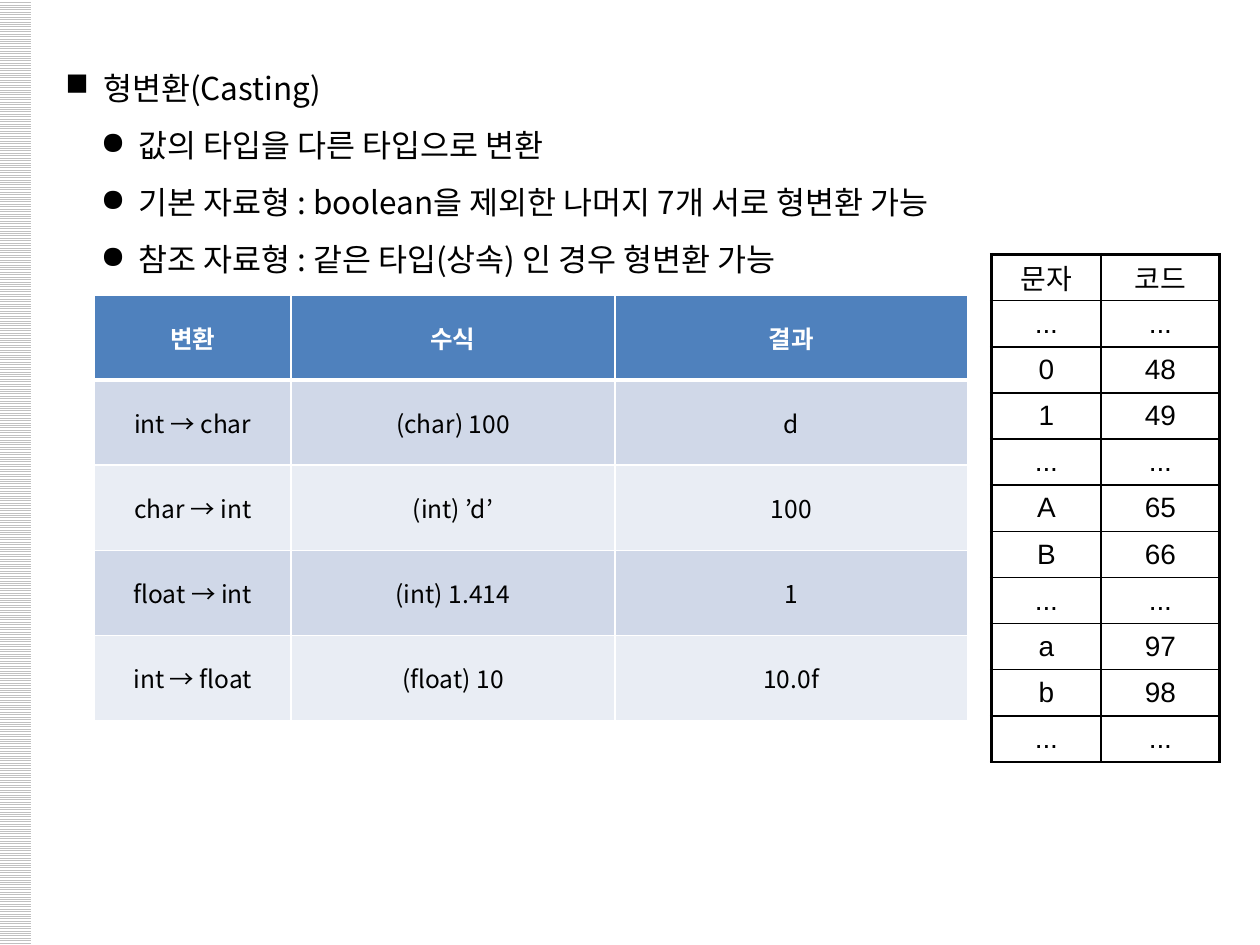
"""Build the slide on type casting with its conversion and character code tables."""
import pptx
import pptx.dml.color
import pptx.enum.dml
import pptx.enum.text
import pptx.oxml.ns
import pptx.util
from lxml import etree

Inches = pptx.util.Inches
Pt = pptx.util.Pt
CENTER = pptx.enum.text.PP_ALIGN.CENTER

THEME = {
    "hangul": "Noto Sans CJK KR", "latin": "Arial",
    "black": "000000", "white": "FFFFFF", "stripe": "C0C0C0",
    "header": "4F81BD", "bands": ("D0D8E8", "E9EDF4"),
    "outline_size": 18, "conversion_size": 14, "code_size": 16,
    "outline_pitch": 32.5, "thin": 1, "thick": 2.25, "header_rule": 3,
}

OUTLINE = [
    (0, "■", "형변환(Casting)"),
    (1, "●", "값의 타입을 다른 타입으로 변환"),
    (1, "●", "기본 자료형 : boolean을 제외한 나머지 7개 서로 형변환 가능"),
    (1, "●", "참조 자료형 : 같은 타입(상속) 인 경우 형변환 가능"),
]
CONVERSIONS = [
    ("변환", "수식", "결과"),
    ("int → char", "(char) 100", "d"),
    ("char → int", "(int) ’d’", "100"),
    ("float → int", "(int) 1.414", "1"),
    ("int → float", "(float) 10", "10.0f"),
]
CODES = [
    ("문자", "코드"), ("...", "..."), ("0", "48"), ("1", "49"), ("...", "..."),
    ("A", "65"), ("B", "66"), ("...", "..."), ("a", "97"), ("b", "98"), ("...", "..."),
]


def rgb(color):
    return pptx.dml.color.RGBColor.from_string(color)


def add_child(parent, tag, **attributes):
    return etree.SubElement(parent, pptx.oxml.ns.qn(tag), attributes)


def write(paragraph, text, *, size, font, color=THEME["black"], bold=False,
          align=None, pitch=None, bullet=None, level=0):
    if align is not None:
        paragraph.alignment = align
    if pitch:
        paragraph.line_spacing = Pt(pitch)
    if bullet:
        hang = Inches(0.3)
        properties = paragraph._p.get_or_add_pPr()
        properties.set("marL", str(hang + level * Inches(0.28)))
        properties.set("indent", str(-hang))
        add_child(properties, "a:buChar", char=bullet)
    run = paragraph.add_run()
    run.text = text
    run.font.size = Pt(size)
    run.font.name = font
    run.font.bold = bold
    run.font.color.rgb = rgb(color)
    add_child(run._r.get_or_add_rPr(), "a:ea", typeface=THEME["hangul"])


def set_borders(cell, color, widths):
    properties = cell._tc.get_or_add_tcPr()
    for position, (side, width) in enumerate(zip("LRTB", widths)):
        line = etree.Element(pptx.oxml.ns.qn(f"a:ln{side}"), w=str(Pt(width)))
        add_child(add_child(line, "a:solidFill"), "a:srgbClr", val=color)
        properties.insert(position, line)


def add_grid(slide, rows, left, top, widths, height, style_cell):
    frame = slide.shapes.add_table(len(rows), len(widths), Inches(left), Inches(top),
                                   Inches(sum(widths)), Inches(height))
    grid = frame.table
    grid.first_row = grid.horz_banding = False
    for column, width in zip(grid.columns, widths):
        column.width = Inches(width)
    for r, texts in enumerate(rows):
        grid.rows[r].height = Inches(height / len(rows))
        for c, text in enumerate(texts):
            cell = grid.cell(r, c)
            cell.vertical_anchor = pptx.enum.text.MSO_ANCHOR.MIDDLE
            cell.margin_top = cell.margin_bottom = Inches(0.02)
            style_cell(cell, text, r, c)


def style_conversion(cell, text, r, c):
    is_header = r == 0
    cell.fill.solid()
    cell.fill.fore_color.rgb = rgb(THEME["header"] if is_header else THEME["bands"][(r - 1) % 2])
    thin, rule = THEME["thin"], THEME["header_rule"]
    set_borders(cell, THEME["white"],
                (thin, thin, rule if r == 1 else thin, rule if is_header else thin))
    write(cell.text_frame.paragraphs[0], text, size=THEME["conversion_size"],
          font=THEME["hangul"], bold=is_header, align=CENTER,
          color=THEME["white" if is_header else "black"])


def style_code(cell, text, r, c):
    cell.fill.background()
    thin, thick = THEME["thin"], THEME["thick"]
    set_borders(cell, THEME["black"],
                (thick if c == 0 else thin, thick if c == 1 else thin,
                 thick if r == 0 else thin, thin))
    write(cell.text_frame.paragraphs[0], text, size=THEME["code_size"],
          font=THEME["latin"], align=CENTER)


def add_side_stripe(slide, height):
    stripe = slide.shapes.add_shape(pptx.enum.shapes.MSO_SHAPE.RECTANGLE,
                                    Inches(-0.01), 0, Inches(0.26), height)
    stripe.shadow.inherit = False
    stripe.line.fill.background()
    stripe.fill.patterned()
    stripe.fill.pattern = pptx.enum.dml.MSO_PATTERN.LIGHT_HORIZONTAL
    stripe.fill.fore_color.rgb = rgb(THEME["stripe"])
    stripe.fill.back_color.rgb = rgb(THEME["white"])


def add_outline(slide):
    frame = slide.shapes.add_textbox(Inches(0.42), Inches(0.35),
                                     Inches(7.45), Inches(1.95)).text_frame
    frame.word_wrap = True
    frame.margin_right = 0
    for number, (level, bullet, text) in enumerate(OUTLINE):
        paragraph = frame.add_paragraph() if number else frame.paragraphs[0]
        write(paragraph, text, size=THEME["outline_size"], font=THEME["hangul"],
              pitch=THEME["outline_pitch"], bullet=bullet, level=level)


def main():
    deck = pptx.Presentation()
    deck.slide_width, deck.slide_height = Inches(10), Inches(7.5)
    slide = deck.slides.add_slide(deck.slide_layouts[6])
    add_side_stripe(slide, deck.slide_height)
    add_outline(slide)
    add_grid(slide, CONVERSIONS, 0.75, 2.34, (1.56, 2.57, 2.8), 3.38, style_conversion)
    add_grid(slide, CODES, 7.87, 2.02, (0.87, 0.94), 4.03, style_code)
    deck.save("out.pptx")


if __name__ == "__main__":
    main()
